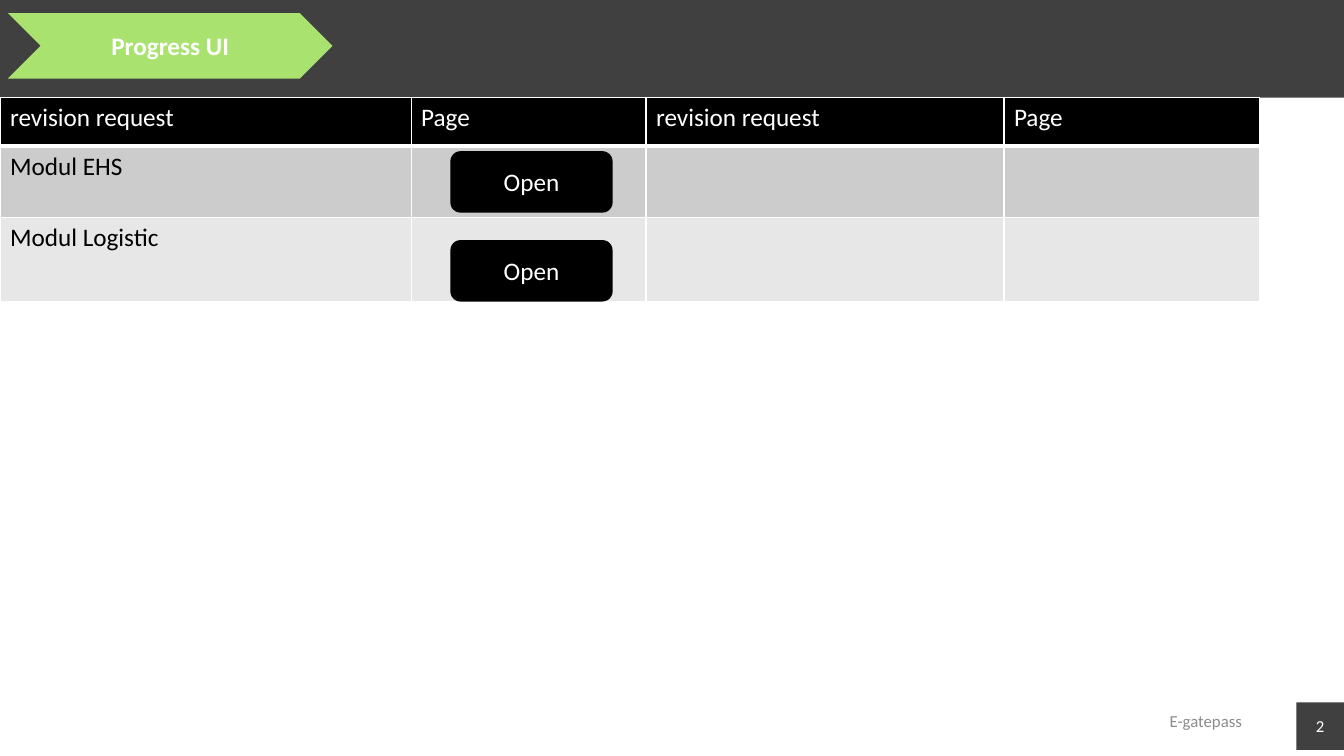
from dataclasses import dataclass

from lxml import etree
from pptx import Presentation
from pptx.dml.color import RGBColor
from pptx.enum import shapes, text
from pptx.oxml import ns
from pptx.slide import Slide
from pptx.table import _Cell as Cell
from pptx.text.text import TextFrame
from pptx.util import Cm, Pt

WHITE = RGBColor(0xFF, 0xFF, 0xFF)
BLACK = RGBColor(0, 0, 0)
CHARCOAL = RGBColor(0x40, 0x40, 0x40)
GREEN = RGBColor(0xA9, 0xE2, 0x6F)
FOOTER_GREY = RGBColor(0x8C, 0x8C, 0x8C)
DARK_ROW = RGBColor(0xCC, 0xCC, 0xCC)
LIGHT_ROW = RGBColor(0xE7, 0xE7, 0xE7)

FONT = "Calibri"
COLUMN_WIDTHS = (10.36, 5.92, 9.02, 6.45)


@dataclass(frozen=True)
class Box:
    kind: shapes.MSO_SHAPE
    left: float
    top: float
    width: float
    height: float
    fill: RGBColor
    label: str = ""
    size: int = 18
    bold: bool = False
    margin: float = 0.25


@dataclass(frozen=True)
class Row:
    height: float
    fill: RGBColor
    color: RGBColor
    labels: tuple[str, str, str, str]
    bottom_border: int = 1


BARS = (
    Box(shapes.MSO_SHAPE.RECTANGLE, 0, -0.02, 33.87, 2.48, CHARCOAL),
    Box(shapes.MSO_SHAPE.RECTANGLE, 32.67, 17.7, 1.2, 1.2, CHARCOAL, "2", 12, margin=0),
    Box(shapes.MSO_SHAPE.CHEVRON, 0.2, 0.33, 8.18, 1.65, GREEN, "Progress UI", bold=True),
)
BUTTONS = tuple(
    Box(shapes.MSO_SHAPE.ROUNDED_RECTANGLE, 11.35, top, 4.09, 1.55, BLACK, "Open")
    for top in (3.81, 6.05)
)
ROWS = (
    Row(1.22, BLACK, WHITE, ("revision request", "Page") * 2, bottom_border=3),
    Row(1.8, DARK_ROW, BLACK, ("Modul EHS", "", "", "")),
    Row(2.13, LIGHT_ROW, BLACK, ("Modul Logistic", "", "", "")),
)


def write(frame: TextFrame, label: str, size: int, color: RGBColor, bold: bool = False) -> None:
    frame.text = label
    font = frame.paragraphs[0].font
    font.name = FONT
    font.size = Pt(size)
    font.bold = bold
    font.color.rgb = color


def draw_box(slide: Slide, box: Box) -> None:
    shape = slide.shapes.add_shape(
        box.kind, Cm(box.left), Cm(box.top), Cm(box.width), Cm(box.height)
    )
    shape.shadow.inherit = False
    shape.fill.solid()
    shape.fill.fore_color.rgb = box.fill
    shape.line.fill.background()
    if box.label:
        frame = shape.text_frame
        frame.margin_left = frame.margin_right = Cm(box.margin)
        frame.margin_top = frame.margin_bottom = Cm(box.margin / 2)
        frame.vertical_anchor = text.MSO_ANCHOR.MIDDLE
        write(frame, box.label, box.size, WHITE, box.bold)
        frame.paragraphs[0].alignment = text.PP_ALIGN.CENTER


def draw_footer(slide: Slide) -> None:
    footer = slide.shapes.add_textbox(Cm(23.93), Cm(17.65), Cm(7.62), Cm(1.02))
    frame = footer.text_frame
    frame.word_wrap = True
    frame.vertical_anchor = text.MSO_ANCHOR.MIDDLE
    write(frame, "E-gatepass", 12, FOOTER_GREY)
    frame.paragraphs[0].alignment = text.PP_ALIGN.RIGHT


def set_borders(cell: Cell, bottom: int) -> None:
    properties = cell._tc.get_or_add_tcPr()
    widths = {"a:lnL": 1, "a:lnR": 1, "a:lnT": 1, "a:lnB": bottom}
    for index, (side, width) in enumerate(widths.items()):
        line = etree.Element(ns.qn(side), w=str(Pt(width)))
        fill = etree.SubElement(line, ns.qn("a:solidFill"))
        etree.SubElement(fill, ns.qn("a:srgbClr"), val=str(WHITE))
        properties.insert(index, line)


def draw_table(slide: Slide) -> None:
    table = slide.shapes.add_table(
        len(ROWS), len(COLUMN_WIDTHS), Cm(0), Cm(2.46),
        Cm(sum(COLUMN_WIDTHS)), Cm(sum(row.height for row in ROWS)),
    ).table
    for column, width in zip(table.columns, COLUMN_WIDTHS):
        column.width = Cm(width)
    for table_row, row in zip(table.rows, ROWS):
        table_row.height = Cm(row.height)
        for cell, label in zip(table_row.cells, row.labels):
            cell.fill.solid()
            cell.fill.fore_color.rgb = row.fill
            set_borders(cell, row.bottom_border)
            write(cell.text_frame, label, 18, row.color)


def main() -> None:
    presentation = Presentation()
    presentation.slide_width = Cm(33.87)
    presentation.slide_height = Cm(19.05)
    slide = presentation.slides.add_slide(presentation.slide_layouts[6])
    for bar in BARS:
        draw_box(slide, bar)
    draw_footer(slide)
    draw_table(slide)
    for button in BUTTONS:
        draw_box(slide, button)
    presentation.save("out.pptx")


if __name__ == "__main__":
    main()
